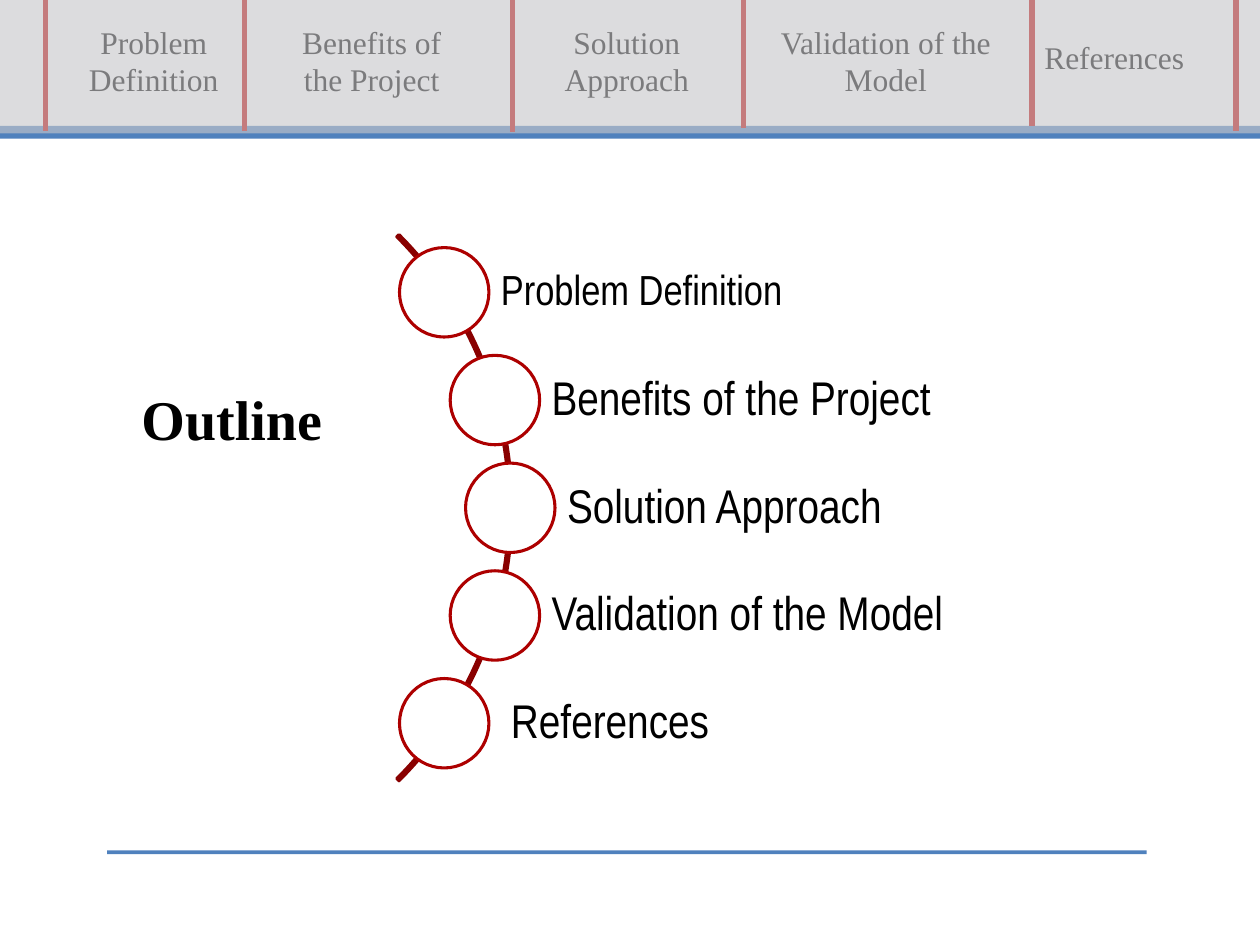
import math
from dataclasses import dataclass

from lxml import etree
from pptx import Presentation
from pptx.dml.color import RGBColor
from pptx.enum.shapes import MSO_CONNECTOR, MSO_SHAPE
from pptx.enum.text import MSO_ANCHOR, PP_ALIGN
from pptx.oxml.ns import qn
from pptx.util import Inches, Pt

CENTER, LEFT = PP_ALIGN.CENTER, PP_ALIGN.LEFT
TOP, MIDDLE = MSO_ANCHOR.TOP, MSO_ANCHOR.MIDDLE
RECT, OVAL, ARC = MSO_SHAPE.RECTANGLE, MSO_SHAPE.OVAL, MSO_SHAPE.BLOCK_ARC
STRAIGHT = MSO_CONNECTOR.STRAIGHT


@dataclass(frozen=True)
class Theme:
    blue: str = "4F81BD"
    divider: str = "C00000"
    veil: str = "C7C7CA"
    arc: str = "890000"
    ring: str = "AD0000"
    white: str = "FFFFFF"
    text: str = "000000"
    serif: str = "Times New Roman"
    narrow: str = "Arial Narrow"
    tab_size: int = 18
    title_size: int = 32
    item_size: int = 27
    first_item_size: int = 24
    outline_width: float = 1.75
    divider_width: float = 3


@dataclass(frozen=True)
class Box:
    left: float
    top: float
    width: float
    height: float

    def lengths(self) -> list:
        return [Inches(v) for v in (self.left, self.top, self.width, self.height)]


@dataclass(frozen=True)
class Tab:
    text: str
    box: Box
    align: PP_ALIGN = CENTER


@dataclass(frozen=True)
class Item:
    text: str
    size: int
    indent: float = 0.45


THEME = Theme()
TABS = [
    Tab("Problem Definition", Box(0.59, 0.13, 1.26, 0.71)),
    Tab("Benefits of the Project", Box(2.24, 0.13, 1.42, 0.71)),
    Tab("Solution Approach", Box(4.19, 0.13, 1.57, 0.71)),
    Tab("Validation of the Model", Box(6.02, 0.13, 2.02, 0.71)),
    Tab("References", Box(8.19, 0.25, 1.34, 0.4), LEFT),
]
# Left and bottom of each divider
DIVIDERS = [(0.36, 1.04), (1.94, 1.04), (4.07, 1.05), (5.9, 1.02), (8.19, 1), (9.81, 1.04)]
DIVIDER_HEIGHT = 1.09
ITEMS = [
    Item("Problem Definition", THEME.first_item_size),
    Item("Benefits of the Project", THEME.item_size),
    Item("Solution Approach", THEME.item_size),
    Item("Validation of the Model", THEME.item_size),
    Item("References", THEME.item_size, indent=0.53),
]
# The rings sit on a circle around this centre, at equal vertical steps
ARC_X, ARC_Y, ARC_SIZE = 1.0, 4.03, 6.13
RING_RADIUS, RING_SIZE, RING_SPAN = 3.05, 0.71, 3.42
LABEL_HEIGHT, LABEL_RIGHT = 0.57, 8.94


def add_shape(s, kind, box: Box, fill: str = "", line: str = ""):
    sp = s.shapes.add_shape(kind, *box.lengths())
    sp.shadow.inherit = False
    if fill:
        sp.fill.solid()
        sp.fill.fore_color.rgb = RGBColor.from_string(fill)
    else:
        sp.fill.background()
    if line:
        sp.line.color.rgb = RGBColor.from_string(line)
        sp.line.width = Pt(THEME.outline_width)
    else:
        sp.line.fill.background()
    return sp


def add_text(s, text: str, box: Box, font: str, size: int, align=LEFT, anchor=TOP,
             margins=(0.1, 0.05, 0.1, 0.05), spacing: float = 1, bold: bool = False) -> None:
    tf = s.shapes.add_textbox(*box.lengths()).text_frame
    tf.word_wrap = True
    tf.vertical_anchor = anchor
    tf.margin_left, tf.margin_top, tf.margin_right, tf.margin_bottom = map(Inches, margins)
    p = tf.paragraphs[0]
    p.text = text
    p.alignment = align
    p.line_spacing = spacing
    r = p.runs[0]
    r.font.name, r.font.size, r.font.bold = font, Pt(size), bold
    r.font.color.rgb = RGBColor.from_string(THEME.text)


def add_divider(s, x: float, bottom: float) -> None:
    top = bottom - DIVIDER_HEIGHT
    c = s.shapes.add_connector(STRAIGHT, Inches(x), Inches(top), Inches(x), Inches(bottom))
    c.line.color.rgb = RGBColor.from_string(THEME.divider)
    c.line.width = Pt(THEME.divider_width)
    etree.SubElement(c._element.spPr, qn("a:effectLst"))


def set_alpha(sp, percent: int) -> None:
    color = sp._element.spPr.find(qn("a:solidFill"))[0]
    etree.SubElement(color, qn("a:alpha")).set("val", str(percent * 1000))


def add_header(s) -> None:
    for x, bottom in DIVIDERS:
        add_divider(s, x, bottom)
    for tab in TABS:
        add_text(s, tab.text, tab.box, THEME.serif, THEME.tab_size, tab.align)
    set_alpha(add_shape(s, RECT, Box(0, 0, 10.08, 1.06), THEME.veil), 62)


def add_item(s, item: Item, index: int) -> None:
    dy = RING_SPAN * (index / (len(ITEMS) - 1) - 0.5)
    x, y = ARC_X + math.sqrt(RING_RADIUS**2 - dy**2), ARC_Y + dy
    label = Box(x, y - LABEL_HEIGHT / 2, LABEL_RIGHT - x, LABEL_HEIGHT)
    add_text(s, item.text, label, THEME.narrow, item.size, anchor=MIDDLE,
             margins=(item.indent, 0.07, 0.07, 0.07), spacing=0.9)
    ring = Box(x - RING_SIZE / 2, y - RING_SIZE / 2, RING_SIZE, RING_SIZE)
    add_shape(s, OVAL, ring, THEME.white, THEME.ring)


def main() -> None:
    prs = Presentation()
    prs.slide_width, prs.slide_height = Inches(10), Inches(7.5)
    s = prs.slides.add_slide(prs.slide_layouts[6])

    # Rules and faded navigation header
    add_shape(s, RECT, Box(0, 1, 10, 0.1), THEME.blue)
    add_shape(s, RECT, Box(0.85, 6.75, 8.25, 0.03), THEME.blue)
    add_header(s)

    # Title
    add_text(s, "Outline", Box(0.1, 1.78, 3.48, 4.97), THEME.serif, THEME.title_size,
             CENTER, margins=(0.1, 1.27, 0.1, 0.05), bold=True)

    # Arc with one ring and label per section
    arc = add_shape(s, ARC, Box(ARC_X - ARC_SIZE / 2, ARC_Y - ARC_SIZE / 2, ARC_SIZE, ARC_SIZE),
                    line=THEME.arc)
    for i, value in enumerate((189, 27, 0.004)):
        arc.adjustments[i] = value
    for i, item in enumerate(ITEMS):
        add_item(s, item, i)

    prs.save("out.pptx")


if __name__ == "__main__":
    main()
